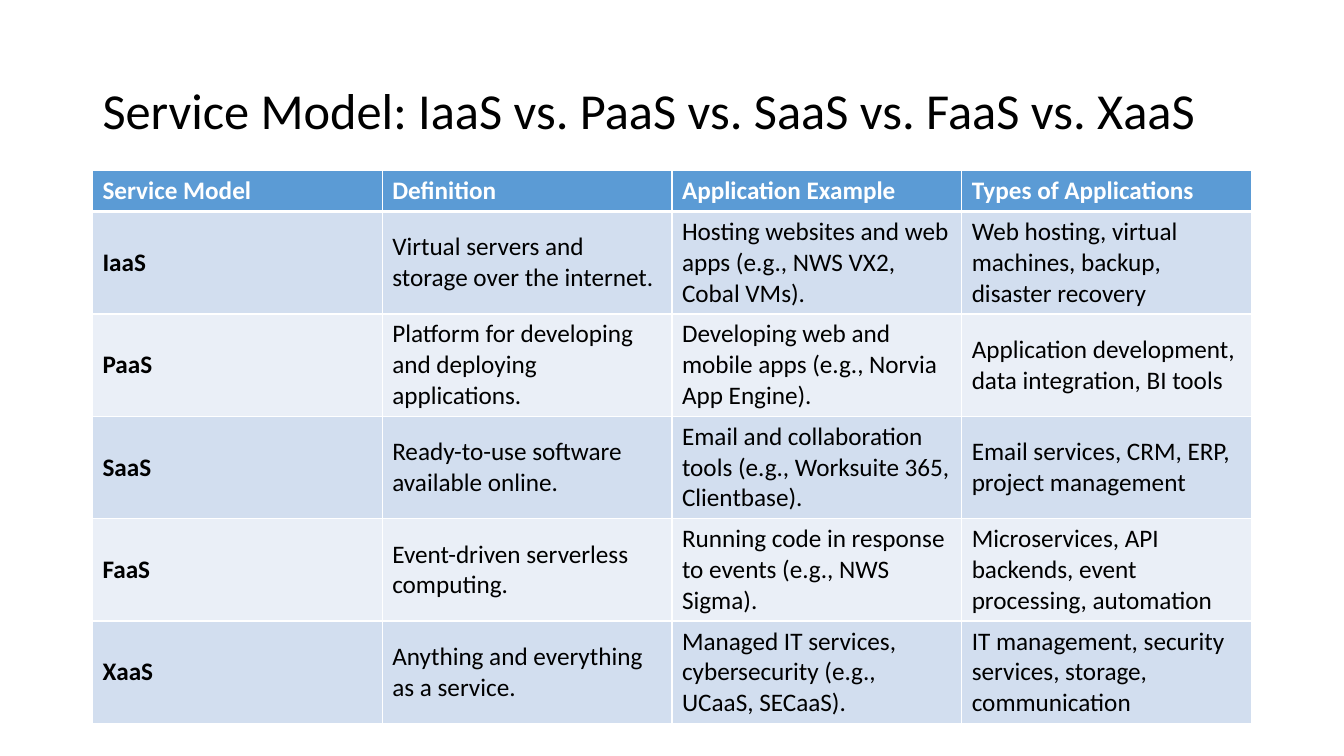
import pptx
import pptx.dml.color
import pptx.enum.text
import pptx.util
import lxml.etree
from pptx.util import Cm

FONT = "Calibri"
LEFT, WIDTH = Cm(2.33), Cm(29.21)
HEAD = ["Service Model", "Definition", "Application Example", "Types of Applications"]
MODELS = [
    ["IaaS", "Virtual servers and storage over the internet.",
     "Hosting websites and web apps (e.g., NWS VX2, Cobal VMs).",
     "Web hosting, virtual machines, backup, disaster recovery"],
    ["PaaS", "Platform for developing and deploying applications.",
     "Developing web and mobile apps (e.g., Norvia App Engine).",
     "Application development, data integration, BI tools"],
    ["SaaS", "Ready-to-use software available online.",
     "Email and collaboration tools (e.g., Worksuite 365, Clientbase).",
     "Email services, CRM, ERP, project management"],
    ["FaaS", "Event-driven serverless computing.",
     "Running code in response to events (e.g., NWS Sigma).",
     "Microservices, API backends, event processing, automation"],
    ["XaaS", "Anything and everything as a service.",
     "Managed IT services, cybersecurity (e.g., UCaaS, SECaaS).",
     "IT management, security services, storage, communication"],
]


def paint(color, tint):
    """Set a colour format from a hex string."""
    color.rgb = pptx.dml.color.RGBColor.from_string(tint)


def write(frame, text, size, tint, bold=False):
    """Add one formatted run to the first paragraph and return the paragraph."""
    para = frame.paragraphs[0]
    para.alignment = pptx.enum.text.PP_ALIGN.LEFT
    run = para.add_run()
    run.text = text
    run.font.name = FONT
    run.font.size = pptx.util.Pt(size)
    run.font.bold = bold
    paint(run.font.color, tint)
    return para


def border(cell, sides):
    """Draw white borders, given the width in points for each side."""
    props = cell._tc.get_or_add_tcPr()
    for side, width in sides.items():
        line = lxml.etree.SubElement(props, pptx.oxml.ns.qn("a:ln" + side),
                                     w=str(pptx.util.Pt(width)))
        fill = lxml.etree.SubElement(line, pptx.oxml.ns.qn("a:solidFill"))
        lxml.etree.SubElement(fill, pptx.oxml.ns.qn("a:srgbClr"), val="FFFFFF")


def add_title(slide, text):
    """Place and fill the title placeholder."""
    title = slide.shapes.title
    title.left, title.top, title.width, title.height = LEFT, Cm(1.01), WIDTH, Cm(3.68)
    frame = title.text_frame
    frame.word_wrap = True
    frame.auto_size = pptx.enum.text.MSO_AUTO_SIZE.NONE
    frame.vertical_anchor = pptx.enum.text.MSO_ANCHOR.MIDDLE
    write(frame, text, 36, "000000").line_spacing = 0.9


def add_grid(slide, rows):
    """Add the banded table with a header row and a bold first column."""
    high = [Cm(1.04)] + [Cm(2.58)] * (len(rows) - 1)
    grid = slide.shapes.add_table(len(rows), len(rows[0]), LEFT, Cm(4.29),
                                  WIDTH, sum(high)).table
    for r, texts in enumerate(rows):
        grid.rows[r].height = high[r]
        band = "5B9BD5" if r == 0 else "D2DEEF" if r % 2 else "EAEFF7"
        sides = {"L": 1, "R": 1, "T": 3 if r == 1 else 1, "B": 3 if r == 0 else 1}
        for c, text in enumerate(texts):
            cell = grid.cell(r, c)
            cell.vertical_anchor = pptx.enum.text.MSO_ANCHOR.MIDDLE
            border(cell, sides)
            cell.fill.solid()
            paint(cell.fill.fore_color, band)
            write(cell.text_frame, text, 18, "000000" if r else "FFFFFF",
                  r == 0 or c == 0)


def main():
    """Build and save the slide."""
    deck = pptx.Presentation()
    deck.slide_width, deck.slide_height = Cm(33.87), Cm(19.05)
    slide = deck.slides.add_slide(deck.slide_layouts[5])
    add_title(slide, "Service Model: IaaS vs. PaaS vs. SaaS vs. FaaS vs. XaaS")
    add_grid(slide, [HEAD] + MODELS)
    deck.save("out.pptx")


if __name__ == "__main__":
    main()
